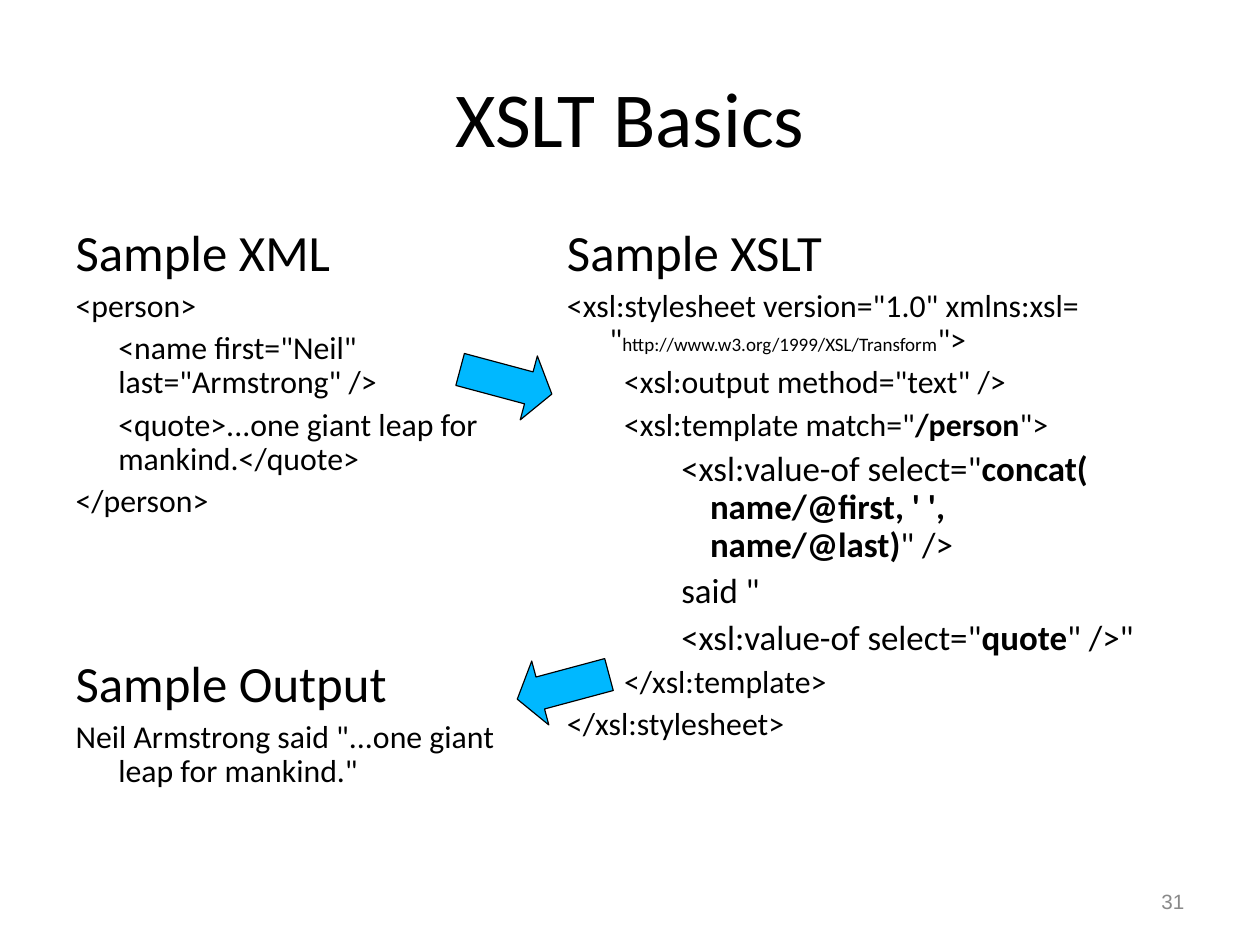
from pptx import Presentation
from pptx.dml.color import RGBColor
from pptx.enum.shapes import MSO_SHAPE
from pptx.enum.text import MSO_ANCHOR, PP_ALIGN
from pptx.util import Cm, Pt

BLACK = RGBColor(0x00, 0x00, 0x00)
GRAY = RGBColor(0x89, 0x89, 0x89)
BLUE = RGBColor(0x00, 0xB8, 0xFF)
LEFT, CENTER, RIGHT = PP_ALIGN.LEFT, PP_ALIGN.CENTER, PP_ALIGN.RIGHT
TOP, MIDDLE = MSO_ANCHOR.TOP, MSO_ANCHOR.MIDDLE
RIGHT_ARROW, LEFT_ARROW = MSO_SHAPE.RIGHT_ARROW, MSO_SHAPE.LEFT_ARROW

# Paragraph styles: left margin (cm), first-line indent (cm), size, space before (pt)
STYLES = {
    "plain": (0, 0, None, 0),
    "heading": (0.95, -0.95, 32, 8),
    "code": (0.95, -0.95, 20, 5),
    "child": (0.95, 0, 20, 5),
    "element": (2.06, -0.79, 20, 5),
    "inner": (3.18, -0.64, 22, 5.5),
}

# Each paragraph is a style followed by runs; a run is text or (text, format).
XML_SAMPLE = [
    ("heading", "Sample XML"),
    ("code", "<person>"),
    ("child", '<name first="Neil" last="Armstrong" />'),
    ("child", "<quote>...one giant leap for mankind.</quote>"),
    ("code", "</person>"),
]
OUTPUT_SAMPLE = [
    ("heading", "Sample Output"),
    ("code", 'Neil Armstrong said "...one giant leap for mankind."'),
]
XSLT_SAMPLE = [
    ("heading", "Sample XSLT"),
    ("code", '<xsl:stylesheet version="1.0" xmlns:xsl=\n"',
     ("http://www.w3.org/1999/XSL/Transform", {"size": Pt(12)}), '">'),
    ("element", '<xsl:output method="text" />'),
    ("element", '<xsl:template match="', ("/person", {"bold": True}), '">'),
    ("inner", '<xsl:value-of select="',
     ("concat(\nname/@first, ' ', name/@last)", {"bold": True}), '" />'),
    ("inner", 'said "'),
    ("inner", '<xsl:value-of select="', ("quote", {"bold": True}), '" />"'),
    ("element", "</xsl:template>"),
    ("code", "</xsl:stylesheet>"),
]

# Box (left, top, width, height in cm), paragraphs
SAMPLES = [
    ((1.4, 4.9, 10.69, 7.6), XML_SAMPLE),
    ((1.4, 14.48, 10.69, 4.29), OUTPUT_SAMPLE),
    ((12.32, 4.9, 14.27, 13.87), XSLT_SAMPLE),
]
# Arrow shape, left, top (cm), rotation
ARROWS = [(RIGHT_ARROW, 10.19, 7.75, 15), (LEFT_ARROW, 11.46, 14.53, 345)]


def add_runs(paragraph, pieces, size, font_name, color):
    for piece in pieces:
        text, formats = (piece, {}) if isinstance(piece, str) else piece
        for number, line in enumerate(text.split("\n")):
            if number:
                paragraph.add_line_break()
            run = paragraph.add_run()
            run.text = line
            run.font.name = font_name
            run.font.size = Pt(size)
            run.font.color.rgb = color
            for name, value in formats.items():
                setattr(run.font, name, value)


def add_text(slide, box, paragraphs, size=20, font_name="Calibri",
             color=BLACK, align=LEFT, anchor=TOP, spacing=0.9):
    shape = slide.shapes.add_textbox(*(Cm(length) for length in box))
    frame = shape.text_frame
    frame.word_wrap = True
    frame.vertical_anchor = anchor
    frame.margin_left = frame.margin_right = Cm(0.28)
    frame.margin_top = frame.margin_bottom = Cm(0.15)
    for number, (style, *pieces) in enumerate(paragraphs):
        margin, indent, style_size, before = STYLES[style]
        paragraph = frame.add_paragraph() if number else frame.paragraphs[0]
        properties = paragraph._p.get_or_add_pPr()
        properties.set("marL", str(Cm(margin)))
        properties.set("indent", str(Cm(indent)))
        paragraph.alignment = align
        paragraph.line_spacing = spacing
        paragraph.space_before = Pt(before if number else 0)
        add_runs(paragraph, pieces, style_size or size, font_name, color)


def add_arrow(slide, kind, left, top, rotation):
    arrow = slide.shapes.add_shape(kind, Cm(left), Cm(top), Cm(2.11), Cm(1.47))
    arrow.adjustments[0] = 0.5
    arrow.adjustments[1] = 0.36
    arrow.rotation = rotation
    arrow.shadow.inherit = False
    arrow.fill.solid()
    arrow.fill.fore_color.rgb = BLUE
    arrow.line.color.rgb = BLACK
    arrow.line.width = Pt(0.75)


def main():
    presentation = Presentation()
    presentation.slide_width, presentation.slide_height = Cm(28), Cm(21)
    slide = presentation.slides.add_slide(presentation.slide_layouts[6])

    add_text(slide, (1.4, 0.84, 25.2, 3.5), [("plain", "XSLT Basics")],
             size=49, align=CENTER, anchor=MIDDLE, spacing=1.0)
    for box, paragraphs in SAMPLES:
        add_text(slide, box, paragraphs)
    add_text(slide, (20.07, 19.46, 6.53, 1.12), [("plain", "31")], size=13,
             font_name="Arial", color=GRAY, align=RIGHT, anchor=MIDDLE,
             spacing=1.0)
    for arrow in ARROWS:
        add_arrow(slide, *arrow)

    presentation.save("out.pptx")


if __name__ == "__main__":
    main()
